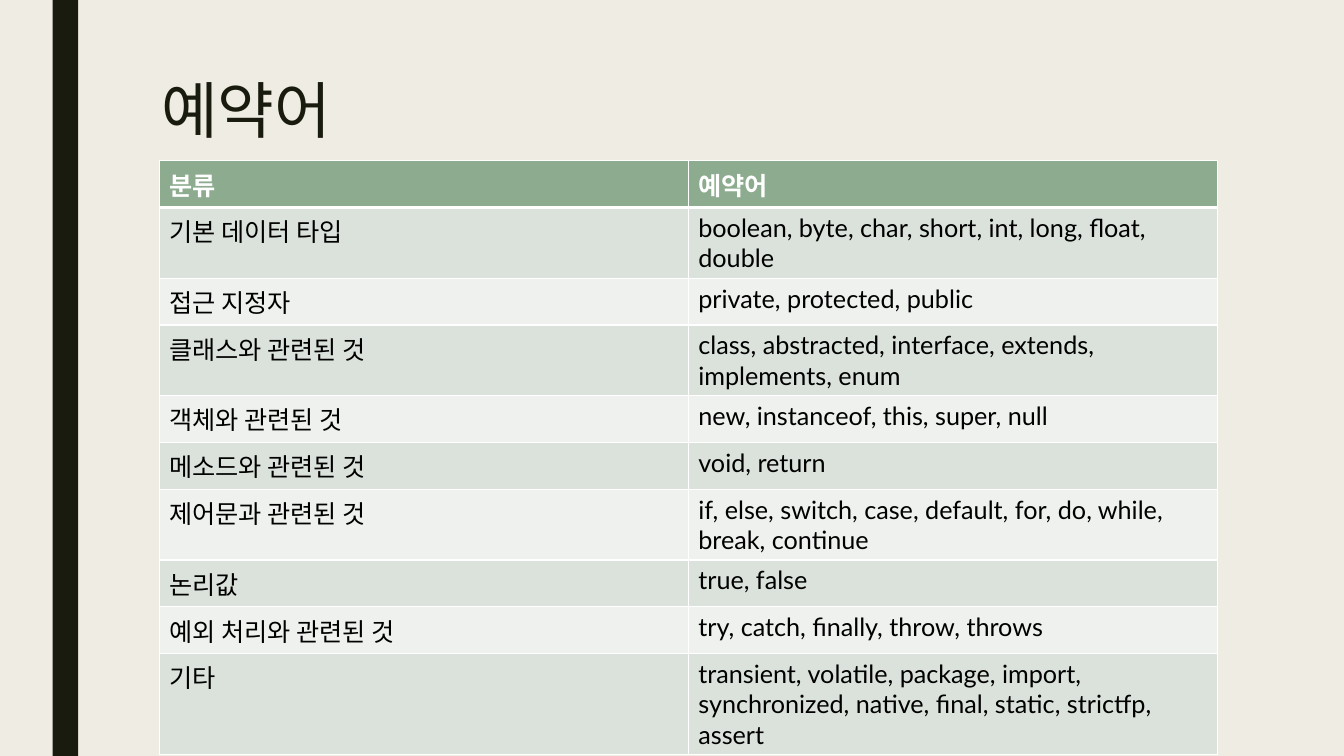
from lxml.etree import SubElement
from pptx import Presentation
from pptx.dml.color import RGBColor
from pptx.enum.shapes import MSO_SHAPE as Shape
from pptx.enum.text import MSO_ANCHOR as Anchor
from pptx.oxml.ns import qn
from pptx.util import Cm, Pt

# Content: category, reserved words, lines the words take
TITLE = "예약어"
ROWS = [
    ("분류", "예약어", 1),
    ("기본 데이터 타입", "boolean, byte, char, short, int, long, float, double", 2),
    ("접근 지정자", "private, protected, public", 1),
    ("클래스와 관련된 것", "class, abstracted, interface, extends, implements, enum", 2),
    ("객체와 관련된 것", "new, instanceof, this, super, null", 1),
    ("메소드와 관련된 것", "void, return", 1),
    ("제어문과 관련된 것",
     "if, else, switch, case, default, for, do, while, break, continue", 2),
    ("논리값", "true, false", 1),
    ("예외 처리와 관련된 것", "try, catch, finally, throw, throws", 1),
    ("기타", "transient, volatile, package, import, synchronized, native, "
           "final, static, strictfp, assert", 3),
]
ROW_HEIGHTS = {1: Cm(1.18), 2: Cm(1.78), 3: Cm(2.53)}

# Look
LATIN, KOREAN = "Lato", "Noto Sans CJK KR"
CREAM = RGBColor(0xEF, 0xED, 0xE3)
DARK = RGBColor(0x19, 0x1B, 0x0E)
GREEN = RGBColor(0x8D, 0xAB, 0x8E)
BANDS = [RGBColor(0xEE, 0xF1, 0xEE), RGBColor(0xDB, 0xE2, 0xDB)]
WHITE = RGBColor(0xFF, 0xFF, 0xFF)
BLACK = RGBColor(0x00, 0x00, 0x00)


def format_text(para, size, color, latin, bold=False):
    for span in para.runs:
        font = span.font
        font.size, font.bold, font.name = Pt(size), bold, latin
        font.color.rgb = color
        SubElement(font._element, qn("a:ea"), typeface=KOREAN)


def set_borders(cell, bottom, top):
    props = cell._tc.get_or_add_tcPr()
    widths = {"lnL": 1, "lnR": 1, "lnT": top, "lnB": bottom}
    for index, (side, width) in enumerate(widths.items()):
        line = SubElement(props, qn("a:" + side), w=str(Pt(width)))
        fill = SubElement(line, qn("a:solidFill"))
        SubElement(fill, qn("a:srgbClr"), val=str(WHITE))
        props.insert(index, line)


# Page and side bar
deck = Presentation()
deck.slide_width, deck.slide_height = Cm(33.87), Cm(19.05)
page = deck.slides.add_slide(deck.slide_layouts[6])
page.background.fill.solid()
page.background.fill.fore_color.rgb = CREAM

bar = page.shapes.add_shape(Shape.RECTANGLE, Cm(1.33), 0, Cm(0.64), deck.slide_height)
bar.shadow.inherit = False
bar.fill.solid()
bar.fill.fore_color.rgb = DARK
bar.line.fill.background()

# Title
box = page.shapes.add_textbox(Cm(3.81), Cm(1.92), Cm(26.67), Cm(4.11))
frame = box.text_frame
frame.word_wrap = True
frame.vertical_anchor = Anchor.TOP
frame.text = TITLE
frame.paragraphs[0].line_spacing = 0.89
format_text(frame.paragraphs[0], 44, DARK, KOREAN)

# Table of reserved words
heights = [ROW_HEIGHTS[lines] for *_, lines in ROWS]
table = page.shapes.add_table(len(ROWS), 2, Cm(4.01), Cm(4.05),
                              Cm(26.67), sum(heights)).table
for number, (*texts, lines) in enumerate(ROWS):
    table.rows[number].height = heights[number]
    header = number == 0
    for column, text in enumerate(texts):
        cell = table.cell(number, column)
        cell.text = text
        cell.fill.solid()
        cell.fill.fore_color.rgb = GREEN if header else BANDS[number % 2]
        set_borders(cell, bottom=3 if header else 1, top=3 if number == 1 else 1)
        format_text(cell.text_frame.paragraphs[0], 18,
                    WHITE if header else BLACK, LATIN, bold=header)

deck.save("out.pptx")
